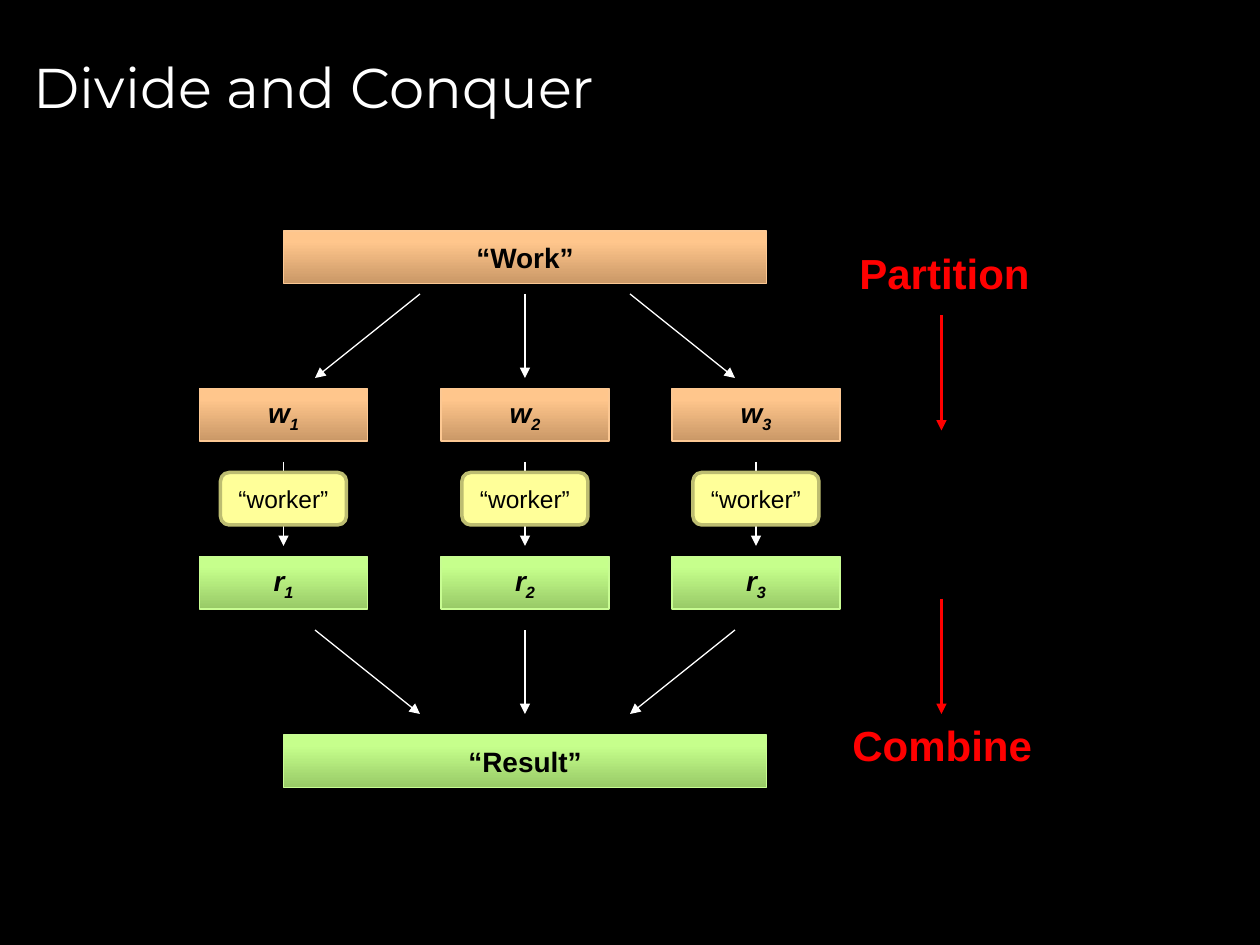
import copy

import pptx
import pptx.dml.color
import pptx.enum.shapes
import pptx.enum.text
import pptx.oxml.ns
import pptx.util
from lxml import etree

Pt = pptx.util.Pt
SHAPE = pptx.enum.shapes.MSO_SHAPE
ALIGN = pptx.enum.text.PP_ALIGN
ANCHOR = pptx.enum.text.MSO_ANCHOR

TITLE = "Divide and Conquer"
ORANGE = {"stops": [(0, "CA9867"), (0.8, "FFC68C"), (1, "FFC78E")], "edge": "FCC893"}
GREEN = {"stops": [(0, "98CA67"), (0.8, "C6FF8C"), (1, "C7FF8E")], "edge": "C8FC93"}

# text, top, colours
WIDE_BARS = [("“Work”", 132, ORANGE), ("“Result”", 420, GREEN)]
# letter, top, colours
PART_ROWS = [("w", 222, ORANGE), ("r", 318, GREEN)]
WORKER = "“worker”"
COLUMN_CENTRES = [162, 300, 432]
CENTRE = COLUMN_CENTRES[1]
BAR_HEIGHT = 30

# start x, end x
FAN_OUT = [(240, 180), (CENTRE, CENTRE), (360, 420)]
# text, left, top, width, arrow top
PHASES = [("Partition", 484, 138, 113, 180), ("Combine", 480, 407.5, 118, 342)]
PHASE_ARROW_X, PHASE_ARROW_LENGTH = 538, 66


def rgb(code):
    return pptx.dml.color.RGBColor.from_string(code)


def write(frame, text, subscript="", size=16, color="000000", bold=False,
          italic=False, font="Arial", align=ALIGN.CENTER, anchor=ANCHOR.MIDDLE,
          wrap=True):
    frame.word_wrap = wrap
    frame.vertical_anchor = anchor
    paragraph = frame.paragraphs[0]
    paragraph.alignment = align
    for part in filter(None, (text, subscript)):
        run = paragraph.add_run()
        run.text = part
        run.font.name = font
        run.font.size = Pt(size)
        run.font.bold = bold
        run.font.italic = italic
        run.font.color.rgb = rgb(color)
    if subscript:
        run.font._element.set("baseline", "-25000")


def add_box(slide, kind, centre, top, width, edge, edge_width):
    box = slide.shapes.add_shape(kind, Pt(centre - width / 2), Pt(top),
                                 Pt(width), Pt(BAR_HEIGHT))
    box.shadow.inherit = False
    box.line.color.rgb = rgb(edge)
    box.line.width = Pt(edge_width)
    return box


def add_bar(slide, centre, top, width, colours, text, **text_format):
    bar = add_box(slide, SHAPE.RECTANGLE, centre, top, width, colours["edge"], 0.75)
    bar.fill.gradient()
    bar.fill.gradient_angle = 90
    stop_list = bar._element.spPr.find(".//" + pptx.oxml.ns.qn("a:gsLst"))
    stop_list.insert(1, copy.deepcopy(stop_list[0]))
    for stop, (position, color) in zip(bar.fill.gradient_stops, colours["stops"]):
        stop.position = position
        stop.color.rgb = rgb(color)
    write(bar.text_frame, text, bold=True, **text_format)


def add_arrow(slide, x1, y1, x2, y2, color="FFFFFF", width=0.75):
    arrow = slide.shapes.add_connector(pptx.enum.shapes.MSO_CONNECTOR.STRAIGHT,
                                       Pt(x1), Pt(y1), Pt(x2), Pt(y2))
    arrow.line.color.rgb = rgb(color)
    arrow.line.width = Pt(width)
    etree.SubElement(arrow.line._get_or_add_ln(), pptx.oxml.ns.qn("a:tailEnd"),
                     type="triangle")
    etree.SubElement(arrow._element.spPr, pptx.oxml.ns.qn("a:effectLst"))


def main():
    deck = pptx.Presentation()
    deck.slide_width, deck.slide_height = Pt(720), Pt(540)
    slide = deck.slides.add_slide(deck.slide_layouts.get_by_name("Title Only"))
    slide.background.fill.solid()
    slide.background.fill.fore_color.rgb = rgb("000000")

    title = slide.shapes.title
    title.left, title.top, title.width, title.height = Pt(12), Pt(9), Pt(684), Pt(80.5)
    write(title.text_frame, TITLE, size=32, color="FFFFFF", font="Montserrat",
          align=ALIGN.LEFT)

    for text, top, colours in WIDE_BARS:
        add_bar(slide, CENTRE, top, 276, colours, text)
    for letter, top, colours in PART_ROWS:
        for number, centre in enumerate(COLUMN_CENTRES, 1):
            add_bar(slide, centre, top, 96, colours, letter,
                    subscript=str(number), italic=True)

    for inner, outer in FAN_OUT:
        add_arrow(slide, inner, 168, outer, 216)
        add_arrow(slide, outer, 360, inner, 408)

    for centre in COLUMN_CENTRES:
        add_arrow(slide, centre, 264, centre, 312)
        worker = add_box(slide, SHAPE.ROUNDED_RECTANGLE, centre, 270, 72, "BDBD71", 2)
        worker.fill.solid()
        worker.fill.fore_color.rgb = rgb("FFFF99")
        write(worker.text_frame, WORKER, size=14)

    for text, left, top, width, arrow_top in PHASES:
        label = slide.shapes.add_textbox(Pt(left), Pt(top), Pt(width), Pt(36.5))
        write(label.text_frame, text, size=24, color="FF0000", bold=True,
              align=ALIGN.LEFT, anchor=ANCHOR.TOP, wrap=False)
        label.text_frame.auto_size = pptx.enum.text.MSO_AUTO_SIZE.SHAPE_TO_FIT_TEXT
        add_arrow(slide, PHASE_ARROW_X, arrow_top, PHASE_ARROW_X,
                  arrow_top + PHASE_ARROW_LENGTH, color="FF0000", width=1.5)

    deck.save("out.pptx")


if __name__ == "__main__":
    main()
